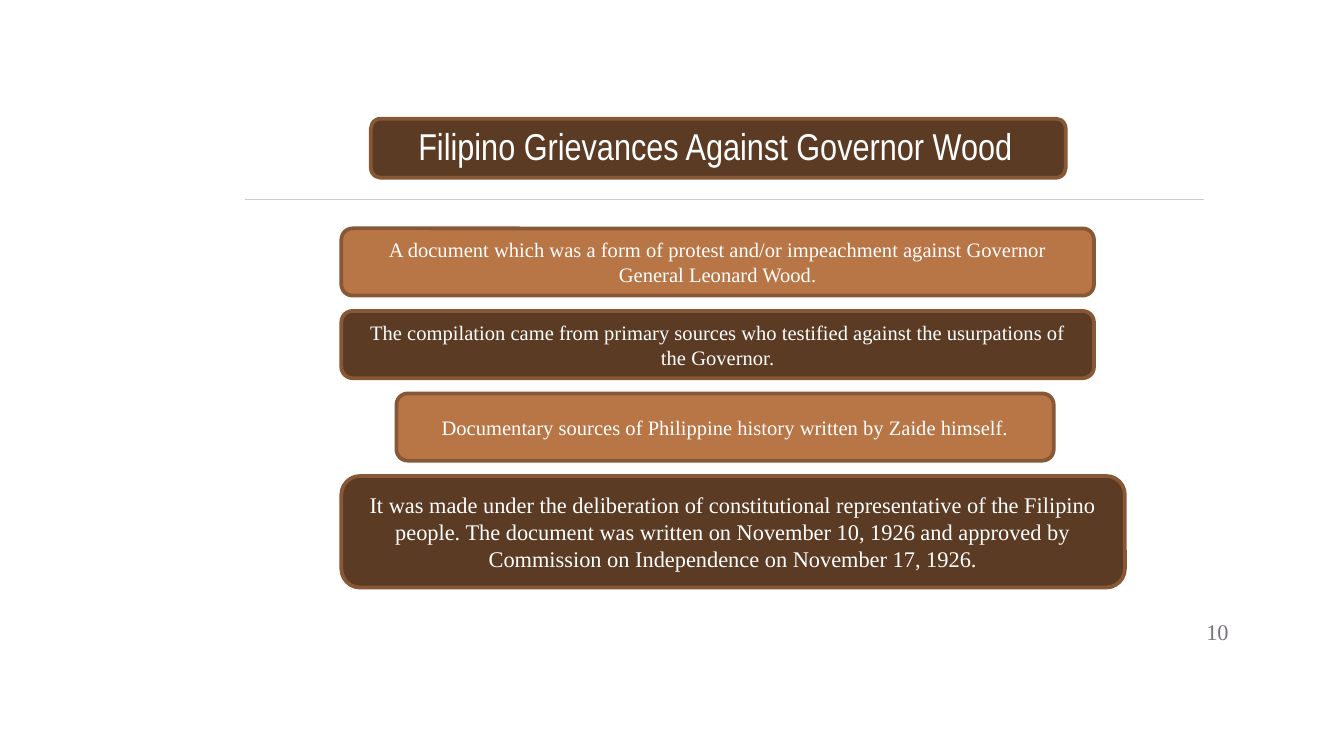
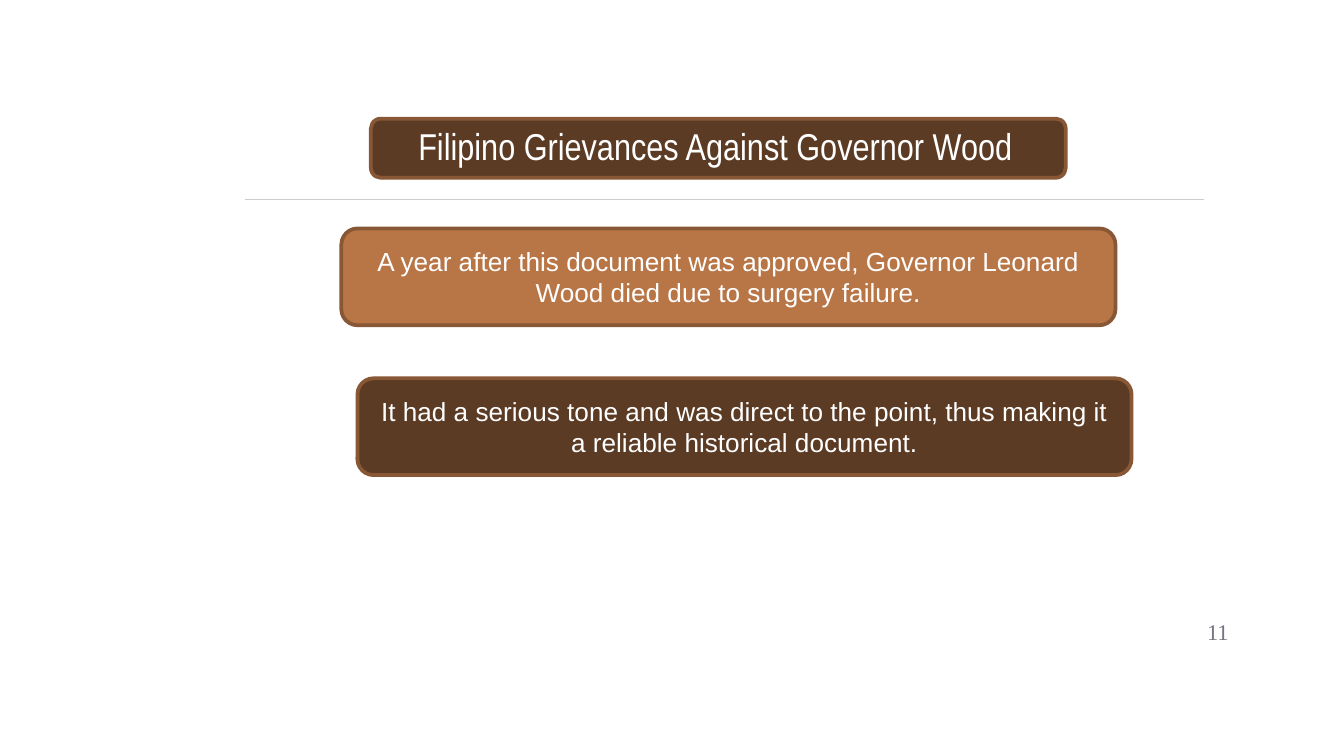
from pptx import Presentation
from pptx import util as u
from pptx.dml.color import RGBColor
from pptx.enum import shapes, text
from pptx.oxml import parse_xml
from pptx.oxml.ns import nsdecls

CELL = 0.1  # inches per grid column and row
COLUMNS, ROWS = 100, 56.25
COLORS = {
    "dark": "5C3B24",
    "light": "B87647",
    "border": "885735",
    "rule": "CCCCCC",
    "number": "797281",
    "white": "FFFFFF",
}
SERIF, SANS, NARROW = "Times New Roman", "Arial", "Arial Narrow"
TITLE = "Filipino Grievances Against Governor Wood"
FIRST_CARD_ROW = 17

# Each card: left column, width, height, font size, wording
SLIDES = [
    {
        "number": 10, "font": SERIF, "gap": 1.14,
        "cards": [
            (25.4, 56, 5, 11, "A document which was a form of protest and/or "
             "impeachment against Governor General Leonard Wood."),
            (25.4, 56, 5, 11, "The compilation came from primary sources who "
             "testified against the usurpations of the Governor."),
            (29.5, 48.9, 5, 11, "Documentary sources of Philippine history "
             "written by Zaide himself."),
            (25.4, 58.3, 8.3, 12, "It was made under the deliberation of "
             "constitutional representative of the Filipino people. The "
             "document was written on November 10, 1926 and approved by "
             "Commission on Independence on November 17, 1926."),
        ],
    },
    {
        "number": 11, "font": SANS, "gap": 3.95,
        "cards": [
            (25.4, 57.6, 7.2, 14, "A year after this document was approved, "
             "Governor Leonard Wood died due to surgery failure."),
            (26.6, 57.6, 7.2, 14, "It had a serious tone and was direct to the "
             "point, thus making it a reliable historical document."),
        ],
    },
]


def color(name):
    return RGBColor.from_string(COLORS[name])


def grid(*cells):
    return [u.Inches(cell * CELL) for cell in cells]


def write(holder, words, *, font, size, ink="white",
          align=text.PP_ALIGN.CENTER, anchor=text.MSO_ANCHOR.MIDDLE, inset=0.05):
    """Fill a shape or text box; inset is the top and bottom margin in inches."""
    frame = holder.text_frame
    frame.word_wrap = True
    frame.vertical_anchor = anchor
    frame.margin_top = frame.margin_bottom = u.Inches(inset)
    paragraph = frame.paragraphs[0]
    paragraph.alignment = align
    run = paragraph.add_run()
    run.text = words
    run.font.name = font
    run.font.size = u.Pt(size)
    run.font.color.rgb = color(ink)


class Deck:
    def __init__(self):
        self.prs = Presentation()
        self.prs.slide_width, self.prs.slide_height = grid(COLUMNS, ROWS)
        self.slide = None

    def new_slide(self, number):
        self.slide = self.prs.slides.add_slide(self.prs.slide_layouts[6])
        self.rule(18.2, 89.6, 14.83)
        self.title()
        self.label(86.4, 44.85, 6, 4.3, str(number), font=SERIF, size=12,
                   ink="number", align=text.PP_ALIGN.RIGHT, inset=0.1)

    def rule(self, start, end, row):
        line = self.slide.shapes.add_connector(
            shapes.MSO_CONNECTOR.STRAIGHT, *grid(start, row, end, row))
        line.line.color.rgb = color("rule")
        line.line.width = u.Pt(0.75)
        line._element.spPr.append(parse_xml(f"<a:effectLst {nsdecls('a')}/>"))

    def panel(self, left, top, width, height, fill):
        panel = self.slide.shapes.add_shape(
            shapes.MSO_SHAPE.ROUNDED_RECTANGLE, *grid(left, top, width, height))
        panel.shadow.inherit = False
        panel.fill.solid()
        panel.fill.fore_color.rgb = color(fill)
        panel.line.color.rgb = color("border")
        panel.line.width = u.Pt(2)
        return panel

    def label(self, left, top, width, height, words, **style):
        box = self.slide.shapes.add_textbox(*grid(left, top, width, height))
        write(box, words, **style)

    def title(self):
        self.panel(27.6, 8.83, 51.7, 4.4, "dark")
        self.label(30.14, 8.7, 50, 4.4, TITLE, font=NARROW, size=20,
                   align=text.PP_ALIGN.LEFT, anchor=text.MSO_ANCHOR.TOP)

    def cards(self, cards, font, gap):
        """Stack cards downwards, alternating the light and dark fills."""
        top = FIRST_CARD_ROW
        for index, (left, width, height, size, words) in enumerate(cards):
            fill = ("light", "dark")[index % 2]
            card = self.panel(left, top, width, height, fill)
            write(card, words, font=font, size=size)
            top += height + gap


def main():
    deck = Deck()
    for page in SLIDES:
        deck.new_slide(page["number"])
        deck.cards(page["cards"], page["font"], page["gap"])
    deck.prs.save("out.pptx")


if __name__ == "__main__":
    main()
